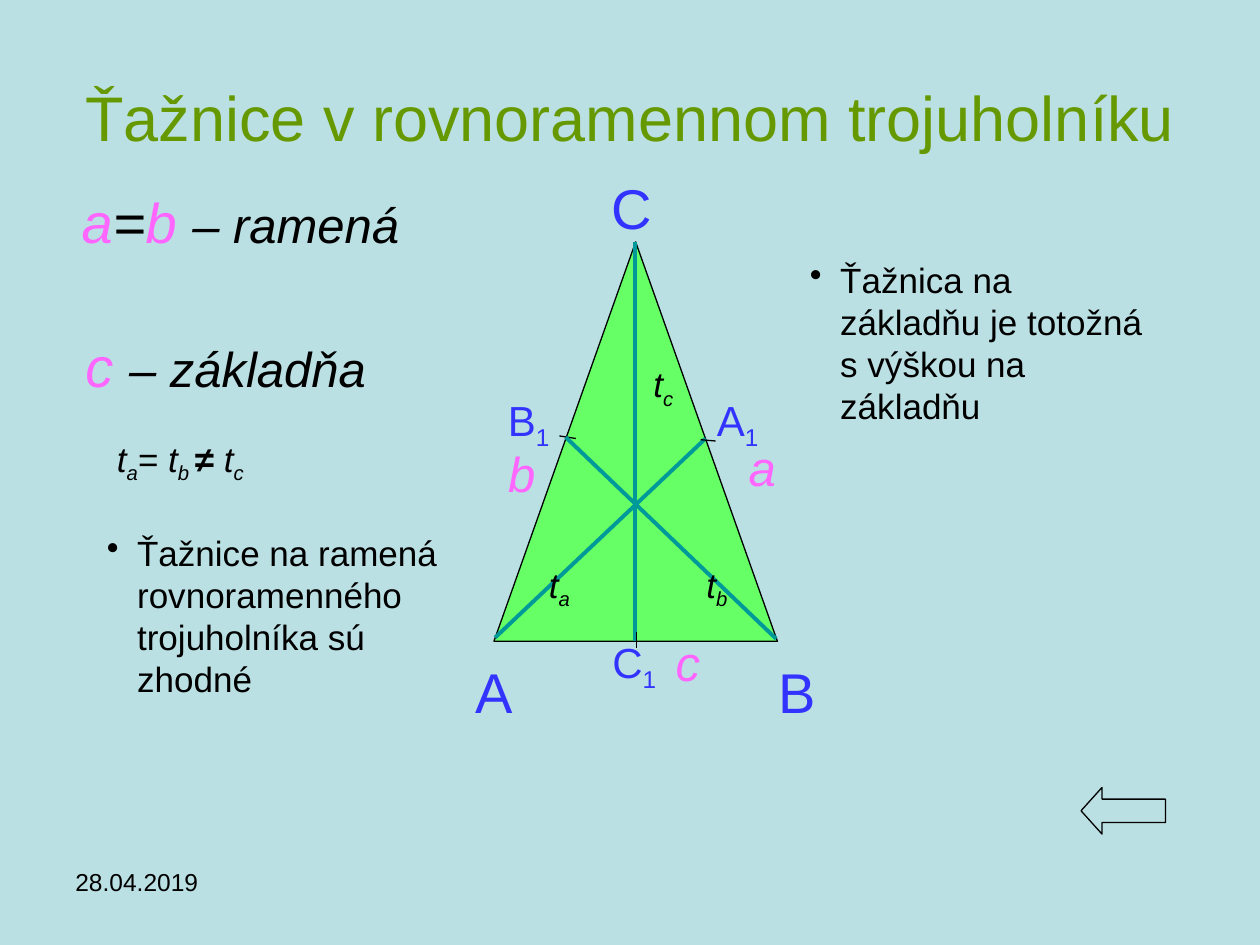
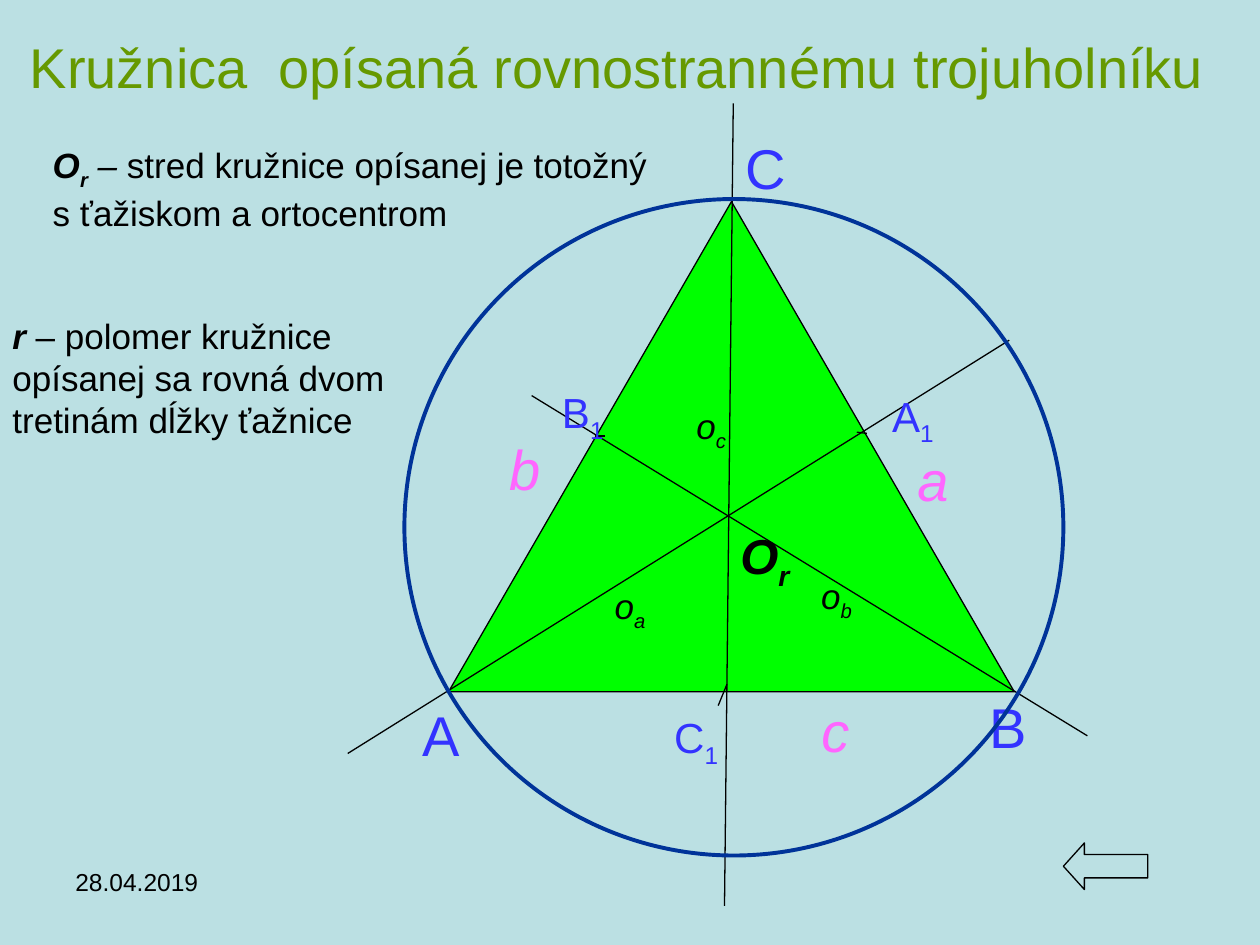
from dataclasses import dataclass

from lxml.etree import SubElement
from pptx import Presentation
from pptx.dml.color import RGBColor
from pptx.enum.shapes import MSO_CONNECTOR, MSO_SHAPE
from pptx.enum.text import MSO_ANCHOR, PP_ALIGN
from pptx.oxml.ns import qn
from pptx.util import Inches, Pt


@dataclass(frozen=True)
class Theme:
    font: str = "Arial"
    background: RGBColor = RGBColor(0xBB, 0xE0, 0xE3)
    title: RGBColor = RGBColor(0x66, 0x99, 0x00)
    ink: RGBColor = RGBColor(0x00, 0x00, 0x00)
    vertex: RGBColor = RGBColor(0x33, 0x33, 0xFF)
    side: RGBColor = RGBColor(0xFF, 0x66, 0xFF)
    median: RGBColor = RGBColor(0x00, 0x99, 0x99)
    circle: RGBColor = RGBColor(0x00, 0x33, 0x99)
    isosceles: RGBColor = RGBColor(0x66, 0xFF, 0x66)
    equilateral: RGBColor = RGBColor(0x00, 0xFF, 0x00)
    large: int = 32
    medium: int = 28
    midpoint: int = 24
    body: int = 20
    date: int = 14
    thin: float = 0.75
    thick: float = 2.25


theme = Theme()


def add_text(slide, box, runs, size, color=theme.ink, style="", align=PP_ALIGN.LEFT,
             wrap=True, bullet=False, anchor=MSO_ANCHOR.TOP):
    frame = slide.shapes.add_textbox(*map(Inches, box)).text_frame
    frame.word_wrap = wrap
    frame.vertical_anchor = anchor
    paragraph = frame.paragraphs[0]
    paragraph.alignment = align
    if bullet:
        properties = paragraph._p.get_or_add_pPr()
        properties.set("marL", str(Inches(0.24)))
        properties.set("indent", str(Inches(-0.24)))
        SubElement(properties, qn("a:buChar")).set("char", "•")
    paragraph.font.name = theme.font
    paragraph.font.size = Pt(size)
    paragraph.font.color.rgb = color
    paragraph.font.italic = "i" in style
    paragraph.font.bold = "b" in style
    for text, marks, *changes in runs:
        run = paragraph.add_run()
        run.text = text
        if "i" in marks:
            run.font.italic = True
        if "b" in marks:
            run.font.bold = True
        if "_" in marks:
            run._r.get_or_add_rPr().set("baseline", "-25000")
        if changes:
            run.font.size = Pt(changes[0])
            run.font.color.rgb = changes[1]


def add_outline(item, color, weight, fill=None):
    item.line.color.rgb = color
    item.line.width = Pt(weight)
    if hasattr(item, "fill"):
        item.shadow.inherit = False
        if fill is None:
            item.fill.background()
        else:
            item.fill.solid()
            item.fill.fore_color.rgb = fill
    else:
        SubElement(item._element.spPr, qn("a:effectLst"))


prs = Presentation()
prs.slide_width = Inches(10)
prs.slide_height = Inches(7.5)
master_fill = prs.slide_master.background.fill
master_fill.solid()
master_fill.fore_color.rgb = theme.background

label_styles = {
    "vertex": (theme.large, theme.vertex, ""),
    "midpoint": (theme.midpoint, theme.vertex, ""),
    "side": (theme.medium, theme.side, "i"),
    "large side": (theme.large, theme.side, "i"),
    "segment": (theme.body, theme.ink, "i"),
    "center": (theme.medium, theme.ink, "bi"),
}

medians = {
    "title": ("Ťažnice v rovnoramennom trojuholníku", 36, (0.5, 0.3, 9, 1.25)),
    "triangle": (MSO_SHAPE.FLOWCHART_EXTRACT, (3.92, 1.92, 2.25, 3.17), 0, theme.isosceles),
    "lines": [
        (5.04, 1.92, 5.04, 5.09, theme.median, theme.thick),
        (4.44, 3.46, 4.57, 3.48, theme.ink, theme.thin),
        (3.93, 5.06, 5.6, 3.48, theme.median, theme.thick),
        (6.16, 5.07, 4.49, 3.47, theme.median, theme.thick),
        (5.05, 5.14, 5.05, 5.02, theme.ink, theme.thin),
        (5.68, 3.5, 5.56, 3.49, theme.ink, theme.thin),
    ],
    "labels": [
        ("vertex", "A", "", 3.67, 5.17, 0.5),
        ("vertex", "B", "", 6.08, 5.17, 0.5),
        ("vertex", "C", "", 4.75, 1.33, 0.52),
        ("side", "a", "", 5.84, 3.42, 0.42),
        ("side", "b", "", 3.93, 3.47, 0.42),
        ("side", "c", "", 5.26, 4.97, 0.4),
        ("midpoint", "A", "1", 5.58, 3.08, 0.55),
        ("midpoint", "B", "1", 3.92, 3.08, 0.55),
        ("midpoint", "C", "1", 4.75, 5, 0.57),
        ("segment", "t", "a", 4.25, 4.42, 0.38),
        ("segment", "t", "b", 5.5, 4.42, 0.38),
        ("segment", "t", "c", 5.08, 2.83, 0.37),
    ],
    "notes": [
        ((0.55, 1.44, 4.33, 0.63), False, [
            ("a", "i", theme.large, theme.side), ("=", "i", theme.large, theme.ink),
            ("b ", "i", theme.large, theme.side), ("– ramená", "i", theme.medium, theme.ink)]),
        ((0.58, 2.58, 3.45, 0.63), False, [
            ("c ", "i", theme.large, theme.side), ("– základňa", "i", theme.medium, theme.ink)]),
        ((0.83, 3.42, 2.25, 0.77), False, [
            ("t", "i"), ("a", "i_"), ("= ", ""), ("t", "i"), ("b ", "i_"),
            ("≠ ", "b"), ("t", "i"), ("c", "i_")]),
        ((0.75, 4.17, 3.17, 1.1), True, [
            ("Ťažnice na ramená rovnoramenného trojuholníka sú zhodné", "")]),
        ((6.33, 2, 2.92, 1.1), True, [
            ("Ťažnica na základňu je totožná s výškou na základňu", "")]),
    ],
    "circle": None,
    "arrow": (8.58, 6.25),
}

circumcircle = {
    "title": ("Kružnica  opísaná rovnostrannému trojuholníku", theme.large, (0, 0.1, 9.8, 0.85)),
    "triangle": (MSO_SHAPE.FLOWCHART_MERGE, (3.56, 1.6, 4.49, 3.89), 180, theme.equilateral),
    "lines": [(*ends, theme.ink, theme.thin) for ends in (
        (5.82, 0.82, 5.75, 7.19),
        (2.76, 5.98, 8.01, 2.7),
        (4.22, 3.14, 8.63, 5.84),
        (6.8, 3.43, 6.88, 3.44),
        (4.72, 3.46, 4.8, 3.46),
        (5.77, 5.43, 5.7, 5.6),
    )],
    "labels": [
        ("vertex", "A", "", 3.25, 5.51, 0.5),
        ("vertex", "B", "", 7.75, 5.45, 0.5),
        ("vertex", "C", "", 5.82, 1.01, 0.52),
        ("large side", "a", "", 7.18, 3.49, 0.45),
        ("large side", "b", "", 3.94, 3.4, 0.45),
        ("large side", "c", "", 6.42, 5.48, 0.42),
        ("midpoint", "A", "1", 6.97, 3.05, 0.55),
        ("midpoint", "B", "1", 4.35, 3.02, 0.55),
        ("midpoint", "C", "1", 5.24, 5.6, 0.57),
        ("segment", "o", "a", 4.77, 4.59, 0.46),
        ("segment", "o", "b", 6.41, 4.51, 0.46),
        ("segment", "o", "c", 5.42, 3.16, 0.45),
        ("center", "O", "r", 5.77, 4.12, 0.6),
    ],
    "notes": [
        ((0.32, 1.09, 5.09, 0.77), False, [
            ("O", "bi"), ("r", "bi_"), (" – ", "i"),
            ("stred kružnice opísanej je totožný s ťažiskom a ortocentrom", "")]),
        ((0, 2.45, 3.69, 1.1), False, [
            ("r", "bi"),
            (" – polomer kružnice opísanej sa rovná dvom tretinám dĺžky ťažnice", "")]),
    ],
    "circle": (3.21, 1.58, 5.23, 5.21),
    "arrow": (8.44, 6.69),
}

for content in (medians, circumcircle):
    slide = prs.slides.add_slide(prs.slide_layouts[6])

    title, title_size, title_box = content["title"]
    add_text(slide, title_box, [(title, "")], title_size, theme.title,
             align=PP_ALIGN.CENTER, anchor=MSO_ANCHOR.MIDDLE)
    add_text(slide, (0.5, 6.83, 2.33, 0.52), [("28.04.2019", "")], theme.date)

    outline, triangle_box, rotation, triangle_fill = content["triangle"]
    triangle = slide.shapes.add_shape(outline, *map(Inches, triangle_box))
    triangle.rotation = rotation
    add_outline(triangle, theme.ink, theme.thin, triangle_fill)

    for *ends, line_color, weight in content["lines"]:
        segment = slide.shapes.add_connector(MSO_CONNECTOR.STRAIGHT, *map(Inches, ends))
        add_outline(segment, line_color, weight)

    for kind, letter, index, left, top, width in content["labels"]:
        size, color, style = label_styles[kind]
        runs = [(letter, "")] + ([(index, "_")] if index else [])
        add_text(slide, (left, top, width, 0.1 + size / 60), runs, size, color, style,
                 align=PP_ALIGN.CENTER, wrap=False)

    for note_box, bullet, runs in content["notes"]:
        add_text(slide, note_box, runs, theme.body, bullet=bullet)

    if content["circle"]:
        circle = slide.shapes.add_shape(MSO_SHAPE.OVAL, *map(Inches, content["circle"]))
        add_outline(circle, theme.circle, theme.thick)

    back_arrow = slide.shapes.add_shape(
        MSO_SHAPE.LEFT_ARROW, *map(Inches, (*content["arrow"], 0.67, 0.37)))
    back_arrow.adjustments[1] = 0.45
    add_outline(back_arrow, theme.ink, theme.thin, theme.background)

prs.save("out.pptx")
